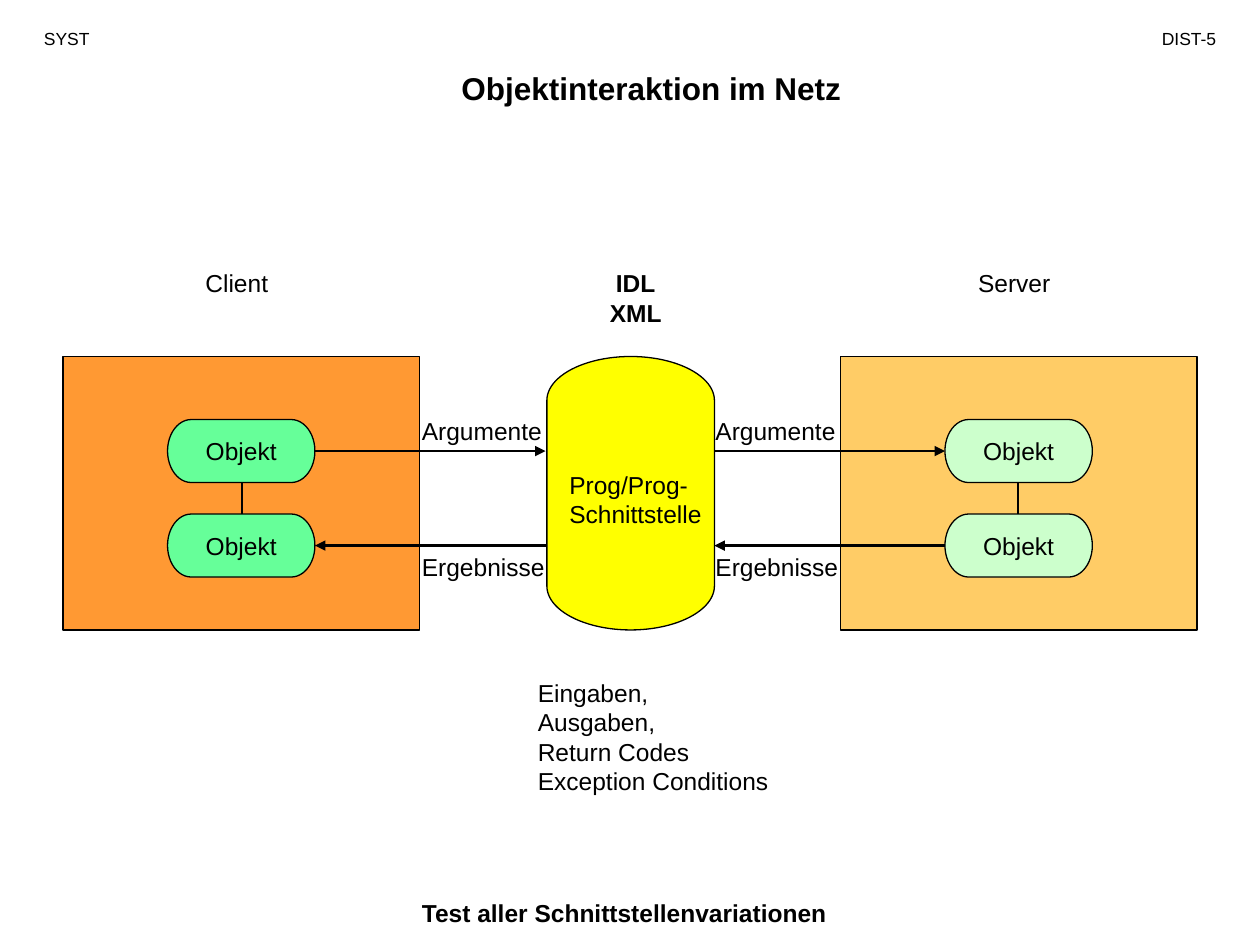
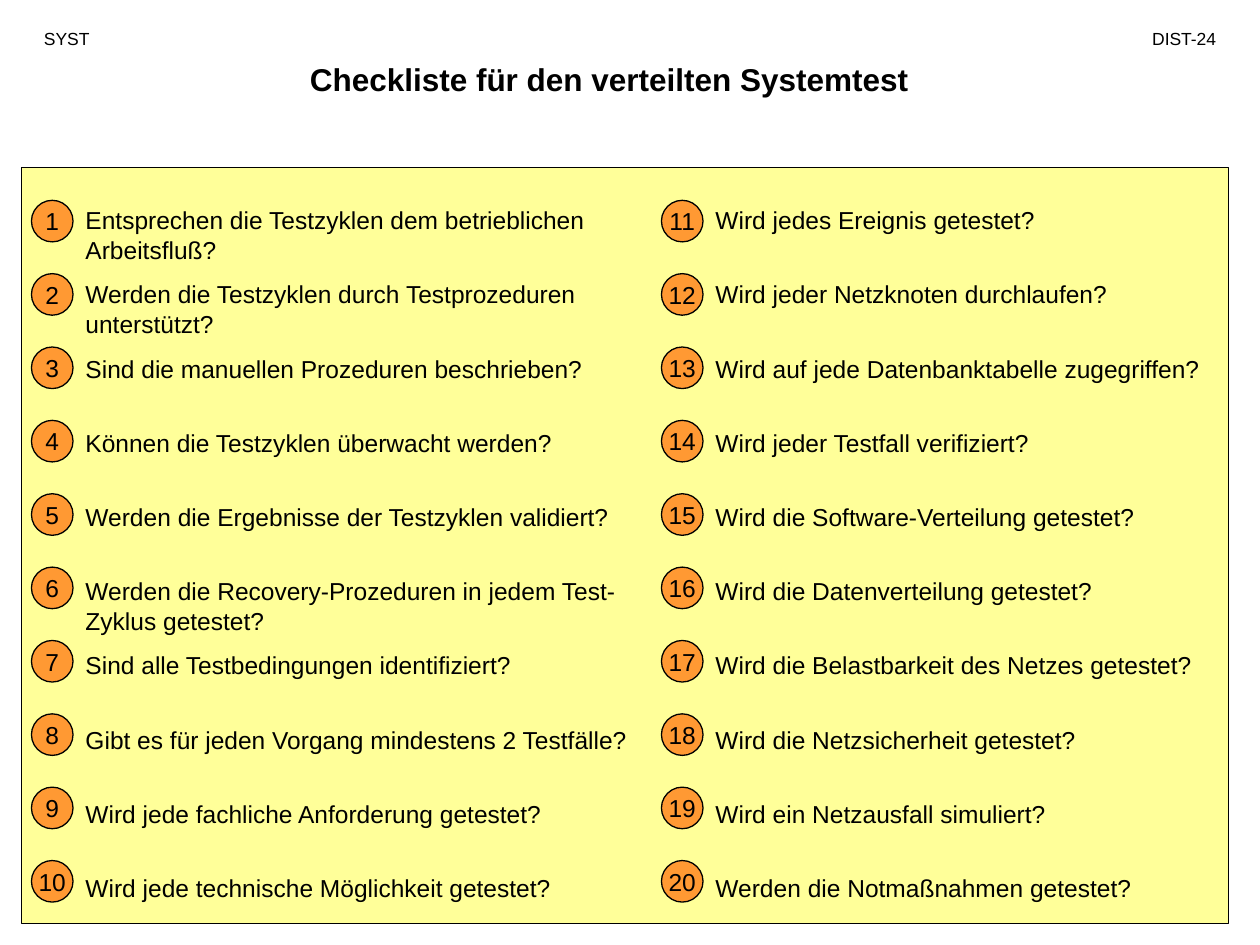
from lxml import etree
from pptx import Presentation
from pptx.dml.color import RGBColor
from pptx.enum.shapes import MSO_CONNECTOR, MSO_SHAPE as SHAPE
from pptx.enum.text import MSO_ANCHOR, PP_ALIGN as ALIGN
from pptx.oxml.ns import qn
from pptx.util import Inches, Pt

FONT = "Arial"
BLACK, ORANGE, SAND, YELLOW = "000000", "FF9933", "FFCC66", "FFFF00"
GREEN, PALE_GREEN, PALE_YELLOW = "66FF99", "CCFFCC", "FFFF99"
BODY_SIZE = 14
rgb = RGBColor.from_string


def add_label(slide, text, box, size=BODY_SIZE, bold=False, align=ALIGN.LEFT):
    """Add a text box at box (left, top, width, height) and return its text frame."""
    frame = slide.shapes.add_textbox(*map(Inches, box)).text_frame
    frame.word_wrap = True
    paragraph = frame.paragraphs[0]
    paragraph.text = text
    paragraph.alignment = align
    paragraph.font.name = FONT
    paragraph.font.size = Pt(size)
    paragraph.font.bold = bold
    paragraph.font.color.rgb = rgb(BLACK)
    return frame


def add_figure(slide, kind, box, fill, text=""):
    """Add an outlined shape at box, with centred text if there is any."""
    figure = slide.shapes.add_shape(kind, *map(Inches, box))
    figure.shadow.inherit = False
    figure.fill.solid()
    figure.fill.fore_color.rgb = rgb(fill)
    figure.line.color.rgb = rgb(BLACK)
    figure.line.width = Pt(0.75)
    if text:
        frame = figure.text_frame
        frame.word_wrap = False
        frame.vertical_anchor = MSO_ANCHOR.MIDDLE
        paragraph = frame.paragraphs[0]
        paragraph.text = text
        paragraph.alignment = ALIGN.CENTER
        paragraph.font.name = FONT
        paragraph.font.size = Pt(BODY_SIZE)
        paragraph.font.color.rgb = rgb(BLACK)
    return figure


prs = Presentation()
prs.slide_width, prs.slide_height = Inches(10), Inches(7.5)
blank = prs.slide_layouts[6]
interaction, checklist = [prs.slides.add_slide(blank) for _ in range(2)]

# Object interaction: client and server on either side of the interface
for host, left, host_fill, object_fill, object_left in [
    ("Client", 0.5, ORANGE, GREEN, 1.33),
    ("Server", 6.67, SAND, PALE_GREEN, 7.5),
]:
    add_figure(interaction, SHAPE.RECTANGLE, (left, 2.83, 2.83, 2.17), host_fill)
    add_label(interaction, host, (object_left - 0.2, 2.08, 1.5, 0.34), align=ALIGN.CENTER)
    for top in (3.33, 4.08):
        add_figure(interaction, SHAPE.FLOWCHART_TERMINATOR,
                   (object_left, top, 1.17, 0.5), object_fill, "Objekt")

interface = add_figure(interaction, SHAPE.FLOWCHART_TERMINATOR, (3.92, 3.25, 2.17, 1.33), YELLOW)
interface.rotation = 90
add_label(interaction, "Prog/Prog-\nSchnittstelle", (4.42, 3.68, 1.3, 0.57))

argument_y, result_y = 3.58, 4.33
for start_x, start_y, end_x, end_y, arrow in [
    (2.5, argument_y, 4.33, argument_y, "tailEnd"),
    (5.67, argument_y, 7.5, argument_y, "tailEnd"),
    (2.5, result_y, 4.33, result_y, "headEnd"),
    (5.67, result_y, 7.5, result_y, "headEnd"),
    (1.92, 3.83, 1.92, 4.08, None),
    (8.08, 3.83, 8.08, 4.08, None),
]:
    link = interaction.shapes.add_connector(
        MSO_CONNECTOR.STRAIGHT, *map(Inches, (start_x, start_y, end_x, end_y)))
    link.line.color.rgb = rgb(BLACK)
    link.line.width = Pt(1.5)
    if arrow:
        etree.SubElement(link.line._get_or_add_ln(), qn(f"a:{arrow}"), type="triangle")
    etree.SubElement(link._element.spPr, qn("a:effectLst"))

for left in (3.25, 5.58):
    add_label(interaction, "Argumente", (left, 3.25, 1.17, 0.34))
    add_label(interaction, "Ergebnisse", (left, 4.33, 1.33, 0.34))

add_label(interaction, "IDL\nXML", (4.42, 2.08, 1.25, 0.57), bold=True, align=ALIGN.CENTER)
add_label(interaction, "Eingaben,\nAusgaben,\nReturn Codes\nException Conditions",
          (4.17, 5.33, 2.17, 1.04))
add_label(interaction, "Test aller Schnittstellenvariationen", (3.25, 7.08, 3.5, 0.34), bold=True)

# Checklist: each row holds a left question, its second line, and a right question
QUESTIONS = [
    ("Entsprechen die Testzyklen dem betrieblichen", "Arbeitsfluß?",
     "Wird jedes Ereignis getestet?"),
    ("Werden die Testzyklen durch Testprozeduren", "unterstützt?",
     "Wird jeder Netzknoten durchlaufen?"),
    ("Sind die manuellen Prozeduren beschrieben?", "",
     "Wird auf jede Datenbanktabelle zugegriffen?"),
    ("Können die Testzyklen überwacht werden?", "", "Wird jeder Testfall verifiziert?"),
    ("Werden die Ergebnisse der Testzyklen validiert?", "",
     "Wird die Software-Verteilung getestet?"),
    ("Werden die Recovery-Prozeduren in jedem Test-", "Zyklus getestet?",
     "Wird die Datenverteilung getestet?"),
    ("Sind alle Testbedingungen identifiziert?", "",
     "Wird die Belastbarkeit des Netzes getestet?"),
    ("Gibt es für jeden Vorgang mindestens 2 Testfälle?", "",
     "Wird die Netzsicherheit getestet?"),
    ("Wird jede fachliche Anforderung getestet?", "", "Wird ein Netzausfall simuliert?"),
    ("Wird jede technische Möglichkeit getestet?", "", "Werden die Notmaßnahmen getestet?"),
]
COLUMN_PITCH = 5
ROW_GAP, LINE_HEIGHT = 8.8, 16.8

add_figure(checklist, SHAPE.RECTANGLE, (0.17, 1.33, 9.58, 6), PALE_YELLOW)
questions = add_label(checklist, "", (0.58, 1.58, 9.25, 5.63))
previous_rest = None
for row, (first_line, rest, right) in enumerate(QUESTIONS):
    question = questions.add_paragraph() if row else questions.paragraphs[0]
    question.text = f"{first_line}\t{right}" + (f"\n{rest}" if rest else "")
    if row:
        question.space_before = Pt(ROW_GAP if previous_rest else ROW_GAP + LINE_HEIGHT)
    previous_rest = rest
    properties = question._p.get_or_add_pPr()
    tabs = etree.Element(qn("a:tabLst"))
    etree.SubElement(tabs, qn("a:tab"), pos=str(Inches(COLUMN_PITCH)), algn="l")
    default_font = properties.find(qn("a:defRPr"))
    if default_font is None:
        properties.append(tabs)
    else:
        default_font.addprevious(tabs)
    question.font.name = FONT
    question.font.size = Pt(BODY_SIZE)
    question.font.color.rgb = rgb(BLACK)

    for column in range(2):
        number = row + 1 + column * len(QUESTIONS)
        badge_box = (0.25 + column * COLUMN_PITCH, 1.59 + row * 5.24 / 9, 0.33, 0.33)
        add_figure(checklist, SHAPE.OVAL, badge_box, ORANGE, str(number))

# Headers shared by both slides
for slide, title, title_box, page in [
    (interaction, "Objektinteraktion im Netz", (2.17, 0.5, 6, 0.4), "DIST-5"),
    (checklist, "Checkliste für den verteilten Systemtest", (0.75, 0.43, 8.17, 0.4), "DIST-24"),
]:
    add_label(slide, title, title_box, size=18, bold=True, align=ALIGN.CENTER)
    add_label(slide, "SYST", (0.25, 0.17, 0.92, 0.27), size=10)
    add_label(slide, page, (8.67, 0.17, 1.08, 0.27), size=10, align=ALIGN.RIGHT)

prs.save("out.pptx")
